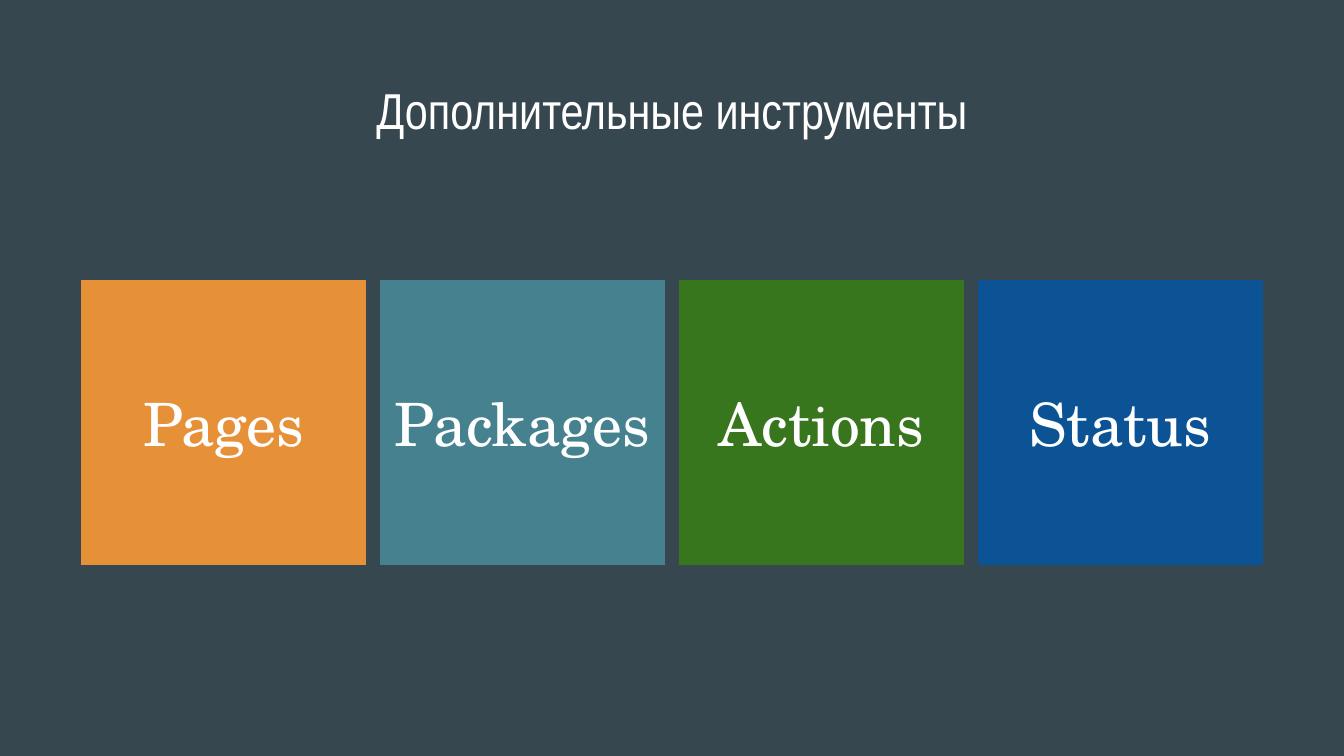
"""Build a slide that shows four extra tools as coloured tiles."""
from pptx import Presentation
from pptx.dml.color import RGBColor
from pptx.enum.shapes import MSO_SHAPE
from pptx.enum.text import MSO_ANCHOR, MSO_AUTO_SIZE, PP_ALIGN
from pptx.util import Inches, Pt

WHITE = RGBColor(0xFF, 0xFF, 0xFF)
SLATE = RGBColor(0x37, 0x47, 0x4F)
ORANGE = RGBColor(0xE6, 0x91, 0x38)
TEAL = RGBColor(0x45, 0x81, 0x8E)
GREEN = RGBColor(0x38, 0x76, 0x1D)
BLUE = RGBColor(0x0B, 0x53, 0x94)

TITLE = "Дополнительные инструменты"
TOOLS = [("Pages", ORANGE), ("Packages", TEAL), ("Actions", GREEN), ("Status", BLUE)]

WIDTH = 10
HEIGHT = WIDTH * 9 / 16
MARGIN, TOP, SIDE = 0.6, 2.08, 2.13
STEP = (WIDTH - 2 * MARGIN - SIDE) / (len(TOOLS) - 1)


def write(shape, text, font, size, anchor=MSO_ANCHOR.MIDDLE, color=WHITE):
    frame = shape.text_frame
    frame.word_wrap = True
    frame.auto_size = MSO_AUTO_SIZE.NONE
    frame.vertical_anchor = anchor
    frame.margin_left = frame.margin_right = Inches(0.1)
    frame.margin_top = frame.margin_bottom = Inches(0.1)
    para = frame.paragraphs[0]
    para.alignment = PP_ALIGN.CENTER
    para.line_spacing = 1.0
    run = para.add_run()
    run.text = text
    run.font.name = font
    run.font.size = Pt(size)
    run.font.color.rgb = color


def main():
    deck = Presentation()
    deck.slide_width, deck.slide_height = Inches(WIDTH), Inches(HEIGHT)
    slide = deck.slides.add_slide(deck.slide_layouts[5])
    slide.background.fill.solid()
    slide.background.fill.fore_color.rgb = SLATE

    title = slide.shapes.title
    title.left, title.top = Inches(0.34), Inches(0.49)
    title.width, title.height = Inches(9.32), Inches(0.63)
    write(title, TITLE, font="Arial Narrow", size=27, anchor=MSO_ANCHOR.TOP)

    for index, (name, color) in enumerate(TOOLS):
        tile = slide.shapes.add_shape(
            MSO_SHAPE.FLOWCHART_PROCESS,
            Inches(MARGIN + index * STEP), Inches(TOP), Inches(SIDE), Inches(SIDE))
        tile.shadow.inherit = False
        tile.fill.solid()
        tile.fill.fore_color.rgb = color
        tile.line.color.rgb = SLATE
        tile.line.width = Pt(0.75)
        write(tile, name, font="TeX Gyre Schola", size=32)

    deck.save("out.pptx")


if __name__ == "__main__":
    main()
